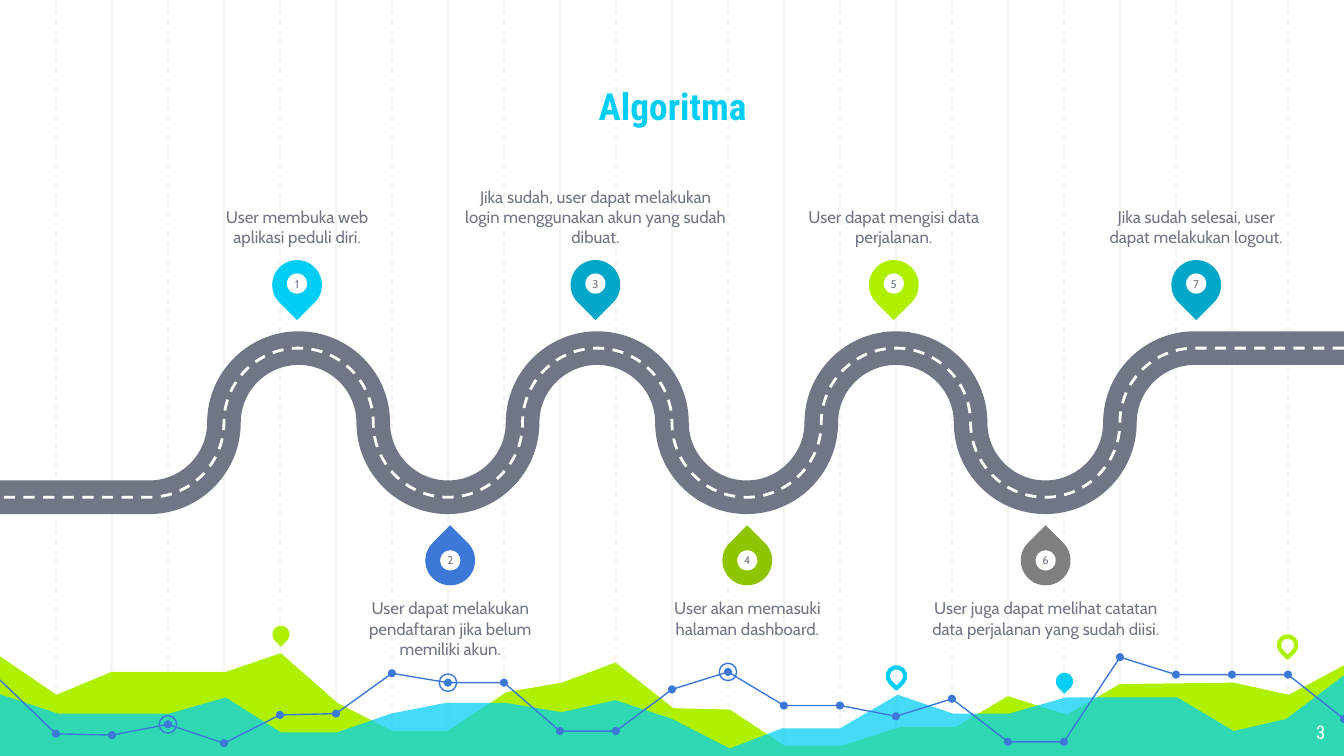
from lxml.etree import SubElement
from pptx import Presentation
from pptx.dml.color import RGBColor
from pptx.enum.dml import MSO_LINE
from pptx.enum.shapes import MSO_CONNECTOR, MSO_SHAPE
from pptx.enum.text import MSO_ANCHOR, PP_ALIGN
from pptx.oxml.ns import qn
from pptx.util import Inches, Pt

WIDTH, HEIGHT = 10, 5.625
COLUMN = WIDTH / 24
BEND = WIDTH / 9
ROAD_TOP, ROAD_BOTTOM = 2.59, 3.7
WHITE = RGBColor(0xFF, 0xFF, 0xFF)
GRID = RGBColor(0xF3, 0xF3, 0xF3)
SLATE = RGBColor(0x70, 0x76, 0x85)
CYAN = RGBColor(0x00, 0xCE, 0xF6)
TEAL = RGBColor(0x00, 0xA7, 0xC8)
LIME = RGBColor(0xAF, 0xF0, 0x00)
GREEN = RGBColor(0x8E, 0xC4, 0x00)
BLUE = RGBColor(0x3C, 0x78, 0xD8)
GRAY = RGBColor(0x7F, 0x7F, 0x7F)

STEPS = [
    (2.21, 1.41, CYAN, "User membuka web aplikasi peduli diri."),
    (3.35, 1.41, BLUE, "User dapat melakukan pendaftaran jika belum memiliki akun."),
    (4.43, 1.95, TEAL, "Jika sudah, user dapat melakukan login menggunakan akun yang sudah dibuat."),
    (5.56, 1.41, GREEN, "User akan memasuki halaman dashboard."),
    (6.65, 1.41, LIME, "User dapat mengisi data perjalanan."),
    (7.78, 1.75, GRAY, "User juga dapat melihat catatan data perjalanan yang sudah diisi."),
    (8.9, 1.41, TEAL, "Jika sudah selesai, user dapat melakukan logout."),
]
LIME_HILLS = [
    (-0.02, 4.87), (0.42, 5.17), (0.83, 5), (1.68, 5), (2.09, 4.86), (2.51, 5.23),
    (2.92, 5.44), (3.33, 5.44), (3.77, 5.15), (4.18, 5.08), (4.58, 4.93), (5.01, 5.27),
    (5.43, 5.28), (5.84, 5.55), (6.26, 5.55), (6.7, 5.41), (7.11, 5.41), (7.5, 5.18),
    (7.94, 5.32), (8.33, 5.09), (9.18, 5.08), (9.59, 5.17), (10.02, 4.94),
    (10.01, 5.64), (-0.03, 5.64),
]
CYAN_HILLS = [
    (-0.02, 5.16), (0.43, 5.31), (1.26, 5.31), (1.68, 5.19), (2.09, 5.45), (2.51, 5.45),
    (2.91, 5.31), (3.32, 5.23), (3.76, 5.23), (4.18, 5.3), (4.58, 5.21), (5, 5.35),
    (5.43, 5.57), (5.82, 5.42), (6.25, 5.42), (6.68, 5.17), (7.09, 5.31), (7.51, 5.31),
    (7.93, 5.19), (8.76, 5.19), (9.18, 5.44), (9.57, 5.35), (10.02, 5.01),
    (10.02, 5.65), (-0.03, 5.65),
]
TREND_HEIGHTS = [
    5.06, 5.46, 5.47, 5.39, 5.53, 5.32, 5.31, 5.01, 5.08, 5.08, 5.44, 5.44, 5.13,
    5, 5.25, 5.25, 5.33, 5.2, 5.52, 5.52, 4.89, 5.02, 5.02, 5.02, 5.35,
]
RINGED_DAYS = (8, 3, 13)
TREND_PARTS = ((0, 11), (11, 20), (20, 24))


def paint(shape, fill=None, line=None, weight=0.75):
    """Set a shape's fill and outline, leaving out whichever is not given."""
    shape.shadow.inherit = False
    if fill is None:
        shape.fill.background()
    else:
        shape.fill.solid()
        shape.fill.fore_color.rgb = fill
    if line is None:
        shape.line.fill.background()
    else:
        shape.line.color.rgb = line
        shape.line.width = Pt(weight)
    return shape


def add_grid_line(shapes, x, dashed):
    """Draw one vertical line of the background grid."""
    rule = shapes.add_connector(
        MSO_CONNECTOR.STRAIGHT, Inches(x), 0, Inches(x), Inches(5.65))
    rule.line.color.rgb = GRID
    rule.line.width = Pt(0.75)
    if dashed:
        rule.line.dash_style = MSO_LINE.DASH
    SubElement(rule._element.spPr, qn("a:effectLst"))


def add_outline(shapes, points, close=False, **style):
    """Draw an outline through points given in inches."""
    corners = [(Inches(x), Inches(y)) for x, y in points]
    builder = shapes.build_freeform(*corners[0])
    builder.add_line_segments(corners[1:], close=close)
    return paint(builder.convert_to_shape(), **style)


def add_centred(shapes, kind, x, y, size, **style):
    """Add a square preset shape around its centre."""
    shape = shapes.add_shape(
        kind, Inches(x - size / 2), Inches(y - size / 2), Inches(size), Inches(size))
    return paint(shape, **style)


def add_pin(shapes, x, y, size, rotation=135, **style):
    """Add a map pin made from a turned teardrop."""
    pin = add_centred(shapes, MSO_SHAPE.TEAR, x, y, size, **style)
    pin.rotation = rotation


def write(shape, text, font, size, color, align=PP_ALIGN.CENTER,
          anchor=MSO_ANCHOR.TOP, inset=0, bold=False):
    """Put one formatted run into a shape."""
    frame = shape.text_frame
    frame.word_wrap = True
    frame.vertical_anchor = anchor
    frame.margin_left = frame.margin_right = Inches(inset)
    frame.margin_top = frame.margin_bottom = Inches(inset)
    paragraph = frame.paragraphs[0]
    paragraph.alignment = align
    run = paragraph.add_run()
    run.text = text
    run.font.name = font
    run.font.size = Pt(size)
    run.font.bold = bold
    run.font.color.rgb = color


def add_landscape(shapes):
    """Draw the grid, the hills, their pins and the dotted trend line."""
    grid = shapes.add_group_shape().shapes
    for first in (2, 1):
        for column in range(first, 24, 2):
            add_grid_line(grid, column * COLUMN, dashed=first == 1)

    add_outline(shapes, LIME_HILLS, close=True, fill=LIME)
    lake = add_outline(shapes, CYAN_HILLS, close=True, fill=CYAN)
    tint = lake._element.spPr.find(qn("a:solidFill")).find(qn("a:srgbClr"))
    SubElement(tint, qn("a:alpha"), val="73000")

    add_pin(shapes, 2.09, 4.72, 0.13, fill=LIME)
    add_pin(shapes, 6.67, 5.03, 0.13, line=CYAN, weight=2.25)
    add_pin(shapes, 7.92, 5.07, 0.13, fill=CYAN)

    trend = [(day * COLUMN, y) for day, y in enumerate(TREND_HEIGHTS)]
    trend_lines = shapes.add_group_shape().shapes
    for first, last in TREND_PARTS:
        add_outline(trend_lines, trend[first:last + 1], line=BLUE)
    dots = shapes.add_group_shape().shapes
    for x, y in trend[1:]:
        add_centred(dots, MSO_SHAPE.OVAL, x, y, 0.06, fill=BLUE)
    for day in RINGED_DAYS:
        add_centred(shapes, MSO_SHAPE.OVAL, *trend[day], 0.13, line=BLUE)
    add_pin(shapes, 9.58, 4.8, 0.13, line=LIME, weight=2.25)


def move_to_layout(slide):
    """Hand the scenery drawn so far over to the slide's layout."""
    tree = slide.slide_layout.shapes._spTree
    for shape in list(slide.shapes):
        if not shape.is_placeholder:
            tree.append(shape._element)
    for number, properties in enumerate(tree.iter(qn("p:cNvPr")), start=1):
        properties.set("id", str(number))


def road_points():
    """List the road's ends and its curve handles from right to left."""
    middle = (ROAD_TOP + ROAD_BOTTOM) / 2
    reach = 0.55 * BEND / 2
    points = [(WIDTH, ROAD_TOP), (8 * BEND, ROAD_TOP)]
    for bend in range(8, 1, -1):
        start, end = (ROAD_TOP, ROAD_BOTTOM) if bend % 2 == 0 else (ROAD_BOTTOM, ROAD_TOP)
        drop = reach if end > start else -reach
        right, left = bend * BEND, (bend - 1) * BEND
        crossing = (right + left) / 2
        points += [(right - reach, start), (crossing, middle - drop), (crossing, middle),
                   (crossing, middle + drop), (left + reach, end), (left, end)]
    return points + [(0, ROAD_BOTTOM)]


def add_road(shapes, color, weight):
    """Draw the winding road, turning each three handles into one curve."""
    road = add_outline(shapes, road_points(), line=color, weight=weight)
    segments = list(road._element.iter(qn("a:lnTo")))[1:-1]
    for first in range(0, len(segments), 3):
        curve, *handles = segments[first:first + 3]
        curve.tag = qn("a:cubicBezTo")
        for handle in handles:
            curve.append(handle[0])
            handle.getparent().remove(handle)
    return road


def add_step(shapes, number, x, width, color, caption):
    """Add a numbered pin and its caption, odd steps above the road."""
    above = number % 2 == 1
    pin_y, badge_y, caption_top = (2.12, 2.11, 1.26) if above else (4.17, 4.17, 4.45)
    marker = shapes.add_group_shape().shapes
    add_pin(marker, x, pin_y, 0.37, 135 if above else 315, fill=color)
    badge = add_centred(marker, MSO_SHAPE.OVAL, x, badge_y, 0.15, fill=WHITE)
    write(badge, str(number), "Cabin", 6, SLATE, anchor=MSO_ANCHOR.MIDDLE)
    label = shapes.add_textbox(
        Inches(x - width / 2), Inches(caption_top), Inches(width), Inches(0.58))
    write(label, caption, "Cabin", 9, SLATE,
          anchor=MSO_ANCHOR.BOTTOM if above else MSO_ANCHOR.TOP)


def main():
    """Build the roadmap slide and save it."""
    deck = Presentation()
    deck.slide_width, deck.slide_height = Inches(WIDTH), Inches(HEIGHT)
    slide = deck.slides.add_slide(deck.slide_layouts[5])
    shapes = slide.shapes
    add_landscape(shapes)
    move_to_layout(slide)

    title = shapes.title
    title.left, title.top = Inches(1.18), Inches(0.27)
    title.width, title.height = Inches(7.65), Inches(0.78)
    write(title, "Algoritma", "Roboto Condensed", 20, CYAN,
          anchor=MSO_ANCHOR.BOTTOM, inset=0.1, bold=True)
    page = shapes.add_textbox(Inches(9.36), Inches(5.28), Inches(0.6), Inches(0.35))
    write(page, "3", "Roboto Condensed", 10, WHITE, align=PP_ALIGN.RIGHT, inset=0.1)

    add_road(shapes, SLATE, 18)
    add_road(shapes, WHITE, 1.5).line.dash_style = MSO_LINE.DASH
    for number, step in enumerate(STEPS, start=1):
        add_step(shapes, number, *step)

    deck.save("out.pptx")


if __name__ == "__main__":
    main()
